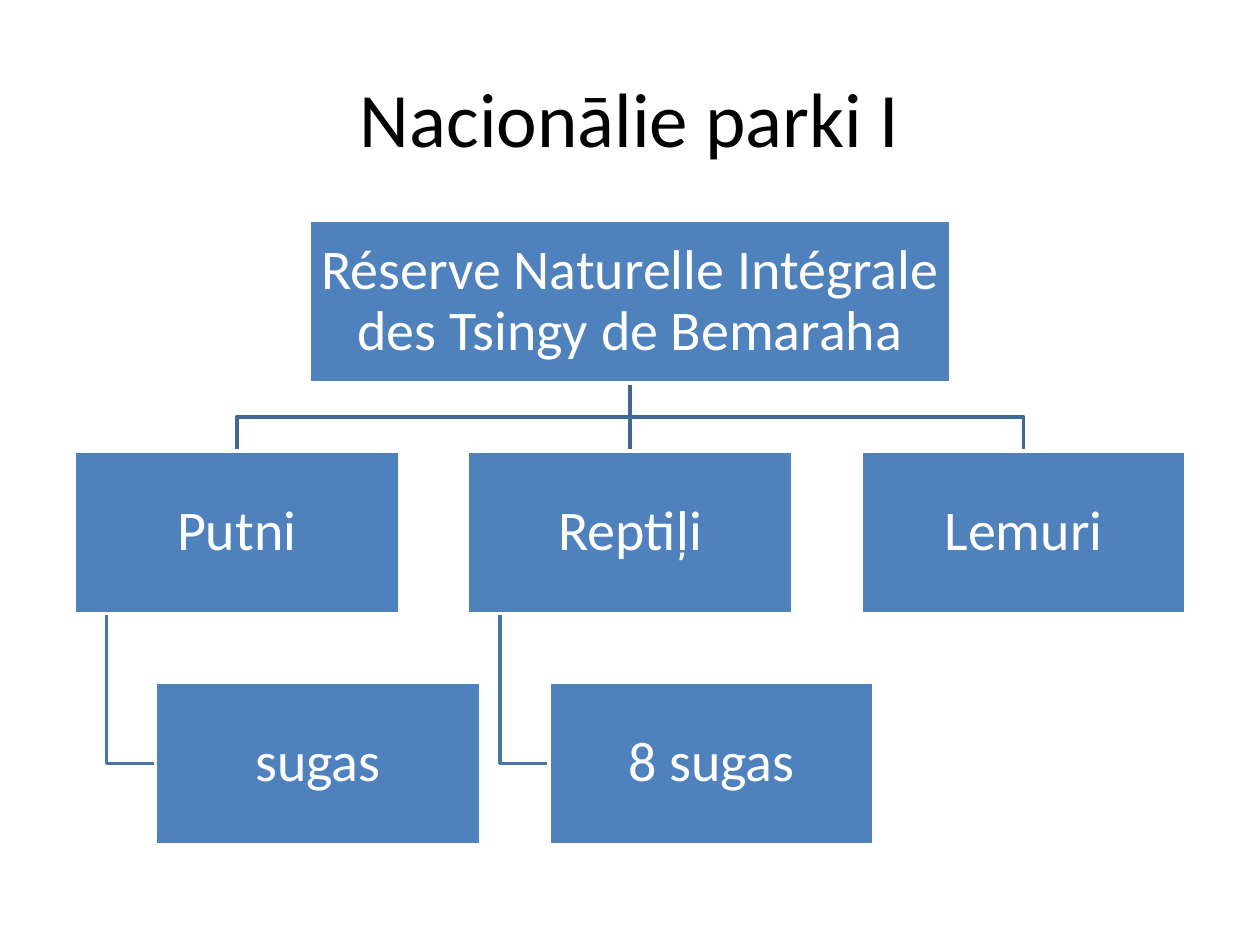
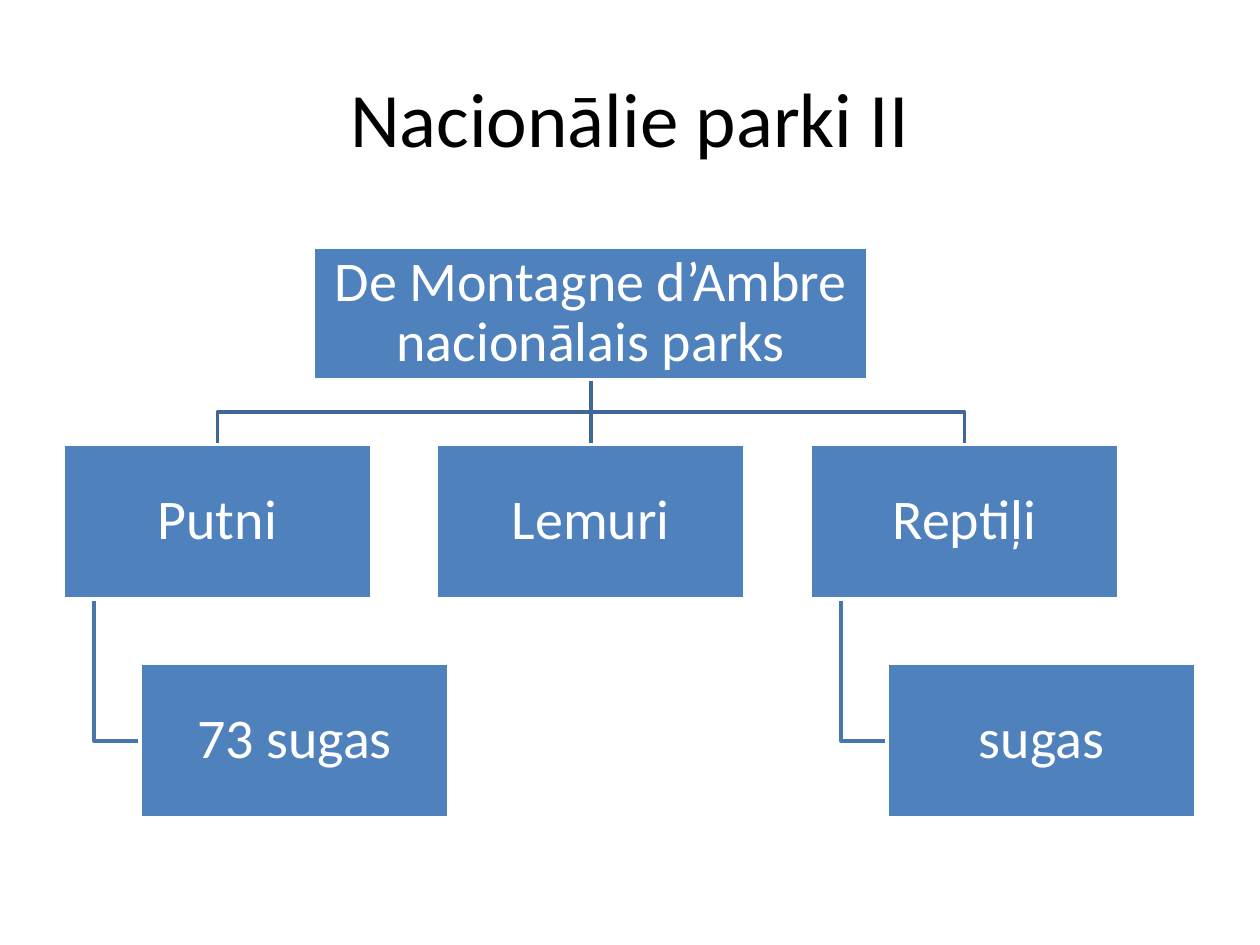
from lxml.etree import SubElement
from pptx import Presentation
from pptx.dml.color import RGBColor
from pptx.enum.shapes import MSO_CONNECTOR, MSO_SHAPE
from pptx.enum.text import MSO_ANCHOR, PP_ALIGN
from pptx.oxml.ns import qn
from pptx.util import Pt

FONT = "Calibri"
BLACK, WHITE, BLUE = "000000", "FFFFFF", "4F81BD"
TRUNK, BRANCH = "3F6797", "4875AC"
LINE_WIDTH = 2
TITLE_AREA = (36, 21.6, 648, 90)

# Each column is (group, detail below it or None); box is the size of every child.
SLIDES = [
    {
        "title": "Nacionālie parki I",
        "root": "Réserve Naturelle Intégrale des Tsingy de Bemaraha",
        "root_size": (366.6, 92.9),
        "columns": [("Putni", "sugas"), ("Reptiļi", "8 sugas"), ("Lemuri", None)],
        "origin": (42.4, 257.8),
        "box": (185.8, 92.9),
    },
    {
        "title": "Nacionālie parki II",
        "root": "De Montagne d’Ambre nacionālais parks",
        "root_size": (316.8, 75.6),
        "columns": [("Putni", "73 sugas"), ("Lemuri", None), ("Reptiļi", "sugas")],
        "origin": (36, 254),
        "box": (176.4, 88.2),
    },
]

# Spacing as shares of the child box width or height.
COLUMN_STEP, INDENT, STEM = 1.21, 0.25, 0.1
ROW_GAP = 0.42


def color(value):
    """Turn a hex string into a colour."""
    return RGBColor.from_string(value)


def write(frame, text, size, tint):
    """Put one centred run into a text frame and return its paragraph."""
    frame.word_wrap = True
    frame.vertical_anchor = MSO_ANCHOR.MIDDLE
    para = frame.paragraphs[0]
    para.alignment = PP_ALIGN.CENTER
    span = para.add_run()
    span.text = text
    span.font.name, span.font.size = FONT, Pt(size)
    span.font.color.rgb = color(tint)
    return para


def set_line(shape, tint):
    """Give a shape or connector the common line width in one colour."""
    shape.line.color.rgb = color(tint)
    shape.line.width = Pt(LINE_WIDTH)


def add_title(page, text):
    """Place and format the title placeholder."""
    title = page.shapes.title
    title.left, title.top, title.width, title.height = map(Pt, TITLE_AREA)
    write(title.text_frame, text, 44, BLACK)


def add_box(page, text, left, top, width, height):
    """Draw a blue box with its label."""
    box = page.shapes.add_shape(MSO_SHAPE.RECTANGLE, *map(Pt, (left, top, width, height)))
    box.shadow.inherit = False
    box.fill.solid()
    box.fill.fore_color.rgb = color(BLUE)
    set_line(box, WHITE)
    frame = box.text_frame
    frame.margin_left = frame.margin_right = Pt(1.6)
    frame.margin_top = frame.margin_bottom = Pt(1.6)
    para = write(frame, text, 32, WHITE)
    para.line_spacing = 0.9
    para.space_after = Pt(11.2)


def add_path(page, points, tint):
    """Draw a straight connector for two points, or a bent line for more."""
    points = [(Pt(x), Pt(y)) for x, y in points]
    if len(points) == 2:
        line = page.shapes.add_connector(MSO_CONNECTOR.STRAIGHT, *points[0], *points[1])
        SubElement(line._element.spPr, qn("a:effectLst"))
    else:
        builder = page.shapes.build_freeform(*points[0])
        builder.add_line_segments(points[1:], close=False)
        line = builder.convert_to_shape()
        line.shadow.inherit = False
        line.fill.background()
    set_line(line, tint)


def add_tree(page, tree):
    """Lay out the root, its columns and their details, lines first."""
    left, top = tree["origin"]
    width, height = tree["box"]
    root_width, root_height = tree["root_size"]
    gap = height * ROW_GAP
    root_bottom = top - gap
    detail_top = top + height + gap
    middle = left + width * COLUMN_STEP * (len(tree["columns"]) - 1) / 2 + width / 2

    boxes = [(tree["root"], middle - root_width / 2, root_bottom - root_height,
              root_width, root_height)]
    for index, (group, detail) in enumerate(tree["columns"]):
        x = left + index * width * COLUMN_STEP
        center = x + width / 2
        boxes.append((group, x, top, width, height))
        points = [(middle, root_bottom), (center, top)]
        if abs(center - middle) > 1:
            bend = root_bottom + gap / 2
            points[1:1] = [(middle, bend), (center, bend)]
        add_path(page, points, TRUNK)
        if detail:
            stem, detail_left = x + width * STEM, x + width * INDENT
            level = detail_top + height / 2
            boxes.append((detail, detail_left, detail_top, width, height))
            add_path(page, [(stem, top + height), (stem, level), (detail_left, level)], BRANCH)
    for box in boxes:
        add_box(page, *box)


deck = Presentation()
deck.slide_width, deck.slide_height = Pt(720), Pt(540)
for content in SLIDES:
    page = deck.slides.add_slide(deck.slide_layouts[5])
    add_title(page, content["title"])
    add_tree(page, content)
deck.save("out.pptx")
